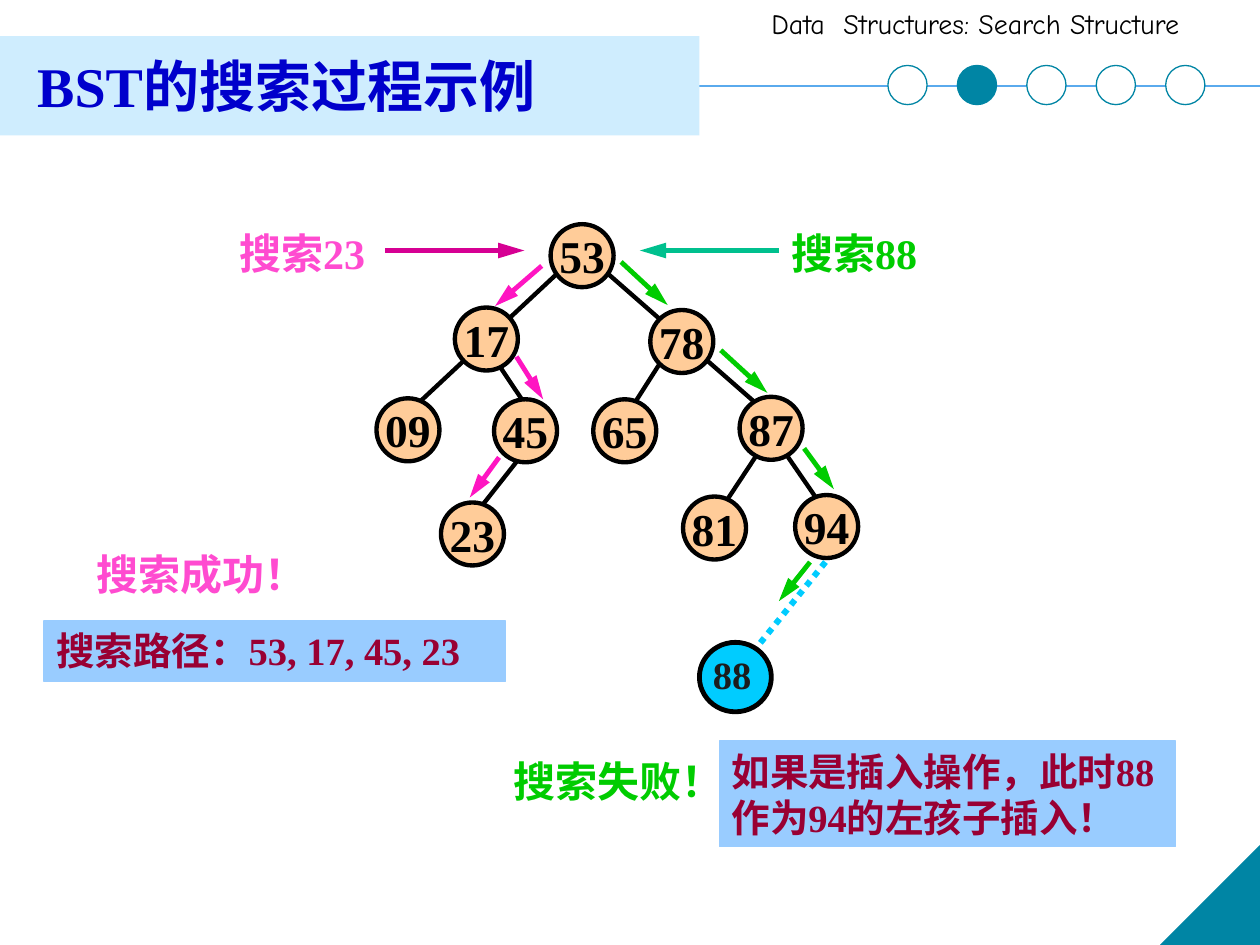
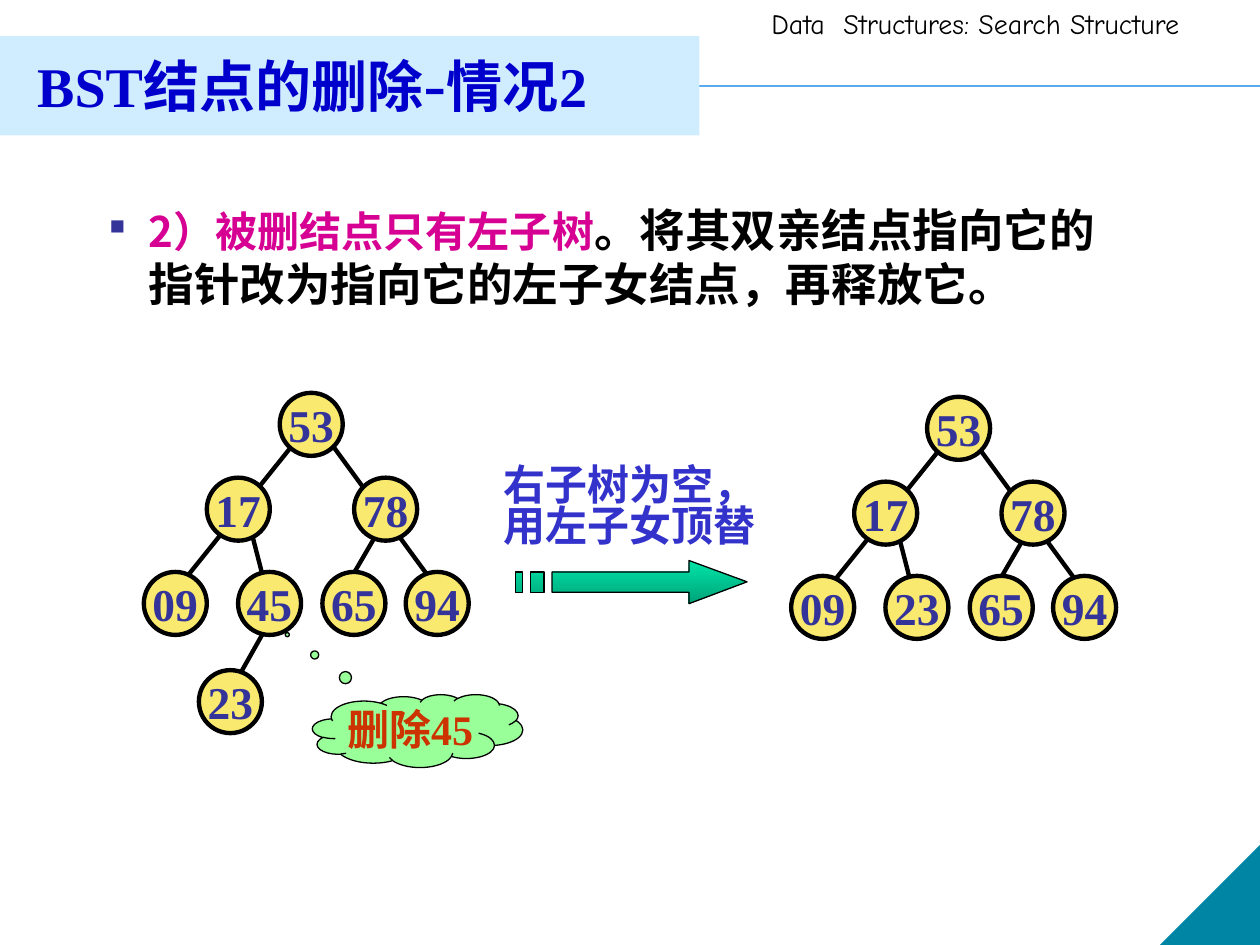
from dataclasses import dataclass
from typing import Any, Optional

from lxml.etree import SubElement
from pptx import Presentation
from pptx.dml.color import RGBColor
from pptx.enum.dml import MSO_LINE
from pptx.enum.shapes import MSO_CONNECTOR, MSO_SHAPE
from pptx.enum.text import MSO_ANCHOR, PP_ALIGN
from pptx.oxml.ns import qn
from pptx.util import Cm, Pt

# Shared colours, fonts and measures
TEAL, BLUE, BLACK, WHITE = "0085A4", "0000CC", "000000", "FFFFFF"
PINK, PINK_ARROW, GREEN = "FF4BD0", "FF15C2", "00CC00"
NOTE_FILL, NOTE_TEXT, INDIGO = "99CCFF", "990033", "333399"
SERIF, CHINESE = "Times New Roman", "Noto Sans CJK SC"
NODE_SIZE = 1.27


@dataclass
class Run:
    text: str
    size: float
    color: str
    font: str = SERIF
    bold: bool = True


@dataclass
class Box:
    left: float
    top: float
    width: float
    height: float

    def lengths(self) -> list[Cm]:
        return [Cm(v) for v in (self.left, self.top, self.width, self.height)]


@dataclass
class Line:
    x1: float
    y1: float
    x2: float
    y2: float

    def shifted(self, dx: float, dy: float) -> "Line":
        return Line(self.x1 + dx, self.y1 + dy, self.x2 + dx, self.y2 + dy)


@dataclass
class Node:
    label: str
    left: float
    top: float


@dataclass
class Label:
    text: str
    box: Box
    color: str


def rgb(color: str) -> RGBColor:
    return RGBColor.from_string(color)


def set_values(target: Any, values: dict[str, Any]) -> None:
    for name, value in values.items():
        setattr(target, name, value)


# Text
def write(shape: Any, paragraphs: list[list[Run]], align: Any = PP_ALIGN.LEFT,
          anchor: Any = MSO_ANCHOR.TOP, wrap: bool = True, spacing: float = 1.0) -> None:
    frame = shape.text_frame
    set_values(frame, {"word_wrap": wrap, "vertical_anchor": anchor,
                       "margin_left": Cm(0.25), "margin_right": Cm(0.25),
                       "margin_top": Cm(0.13), "margin_bottom": Cm(0.13)})
    for index, runs in enumerate(paragraphs):
        paragraph = frame.add_paragraph() if index else frame.paragraphs[0]
        set_values(paragraph, {"alignment": align, "line_spacing": spacing,
                               "space_before": Pt(0)})
        for item in runs:
            run = paragraph.add_run()
            run.text = item.text
            set_values(run.font, {"size": Pt(item.size), "bold": item.bold, "name": item.font})
            run.font.color.rgb = rgb(item.color)
            SubElement(run._r.get_or_add_rPr(), qn("a:ea"), typeface=CHINESE)


def add_text(slide: Any, box: Box, paragraphs: list[list[Run]], **options: Any) -> Any:
    shape = slide.shapes.add_textbox(*box.lengths())
    write(shape, paragraphs, **options)
    return shape


def add_bullet(paragraph: Any, color: str, size_percent: int) -> None:
    properties = paragraph._p.get_or_add_pPr()
    set_values(paragraph, {"level": 1})
    properties.set("marL", str(Cm(2.06)))
    properties.set("indent", str(Cm(-0.79)))
    SubElement(SubElement(properties, qn("a:buClr")), qn("a:srgbClr"), val=color)
    SubElement(properties, qn("a:buSzPct"), val=str(size_percent * 1000))
    SubElement(properties, qn("a:buChar"), char="■")


# Shapes and lines
def outline(shape: Any, color: Optional[str], width: float) -> None:
    shape.shadow.inherit = False
    if color is None:
        shape.line.fill.background()
    else:
        shape.line.color.rgb = rgb(color)
        shape.line.width = Pt(width)


def add_preset(slide: Any, preset: Any, box: Box, fill: str,
               line: Optional[str] = None, width: float = 0.75) -> Any:
    shape = slide.shapes.add_shape(preset, *box.lengths())
    shape.fill.solid()
    shape.fill.fore_color.rgb = rgb(fill)
    outline(shape, line, width)
    return shape


def add_line(slide: Any, line: Line, color: str, width: float,
             arrow: bool = False, dash: Any = None) -> None:
    connector = slide.shapes.add_connector(
        MSO_CONNECTOR.STRAIGHT, Cm(line.x1), Cm(line.y1), Cm(line.x2), Cm(line.y2))
    connector.line.color.rgb = rgb(color)
    connector.line.width = Pt(width)
    if dash is not None:
        connector.line.dash_style = dash
    if arrow:
        SubElement(connector.line._get_or_add_ln(), qn("a:tailEnd"), type="triangle", len="lg")
    SubElement(connector.element.spPr, qn("a:effectLst"))


def add_tree(slide: Any, nodes: list[Node], edges: list[Line], fill: str,
             text_color: str, dx: float = 0, dy: float = 0) -> None:
    for edge in edges:
        add_line(slide, edge.shifted(dx, dy), BLACK, 2.5)
    for node in nodes:
        box = Box(node.left + dx, node.top + dy, NODE_SIZE, NODE_SIZE)
        circle = add_preset(slide, MSO_SHAPE.OVAL, box, fill, BLACK, 2.5)
        write(circle, [[Run(node.label, 26, text_color)]], align=PP_ALIGN.CENTER,
              anchor=MSO_ANCHOR.MIDDLE, wrap=False)


# Frame shared by all slides
def start_slide(presentation: Any, title_runs: list[Run], title_width: float) -> Any:
    slide = presentation.slides.add_slide(presentation.slide_layouts[5])
    add_line(slide, Line(0, 1.74, 25.4, 1.74), "5AAAED", 1)
    corner = add_preset(slide, MSO_SHAPE.RIGHT_TRIANGLE, Box(23.4, 17.05, 2, 2), TEAL, TEAL)
    corner.rotation = 270
    add_text(slide, Box(15.3, 0, 10.2, 0.94),
             [[Run("Data  Structures: Search Structure", 16, BLACK, "Comic Neue", False)]])
    add_preset(slide, MSO_SHAPE.RECTANGLE, Box(0, 0.73, 14.1, 2), "CFEDFE")
    title = slide.shapes.title
    left, top, width, height = Box(0.5, 0.85, title_width, 1.68).lengths()
    set_values(title, {"left": left, "top": top, "width": width, "height": height})
    write(title, [title_runs], anchor=MSO_ANCHOR.BOTTOM, spacing=1.05)
    slide.shapes.element.append(title.element)  # in front of the band
    return slide


def build_search_slide(presentation: Any) -> None:
    slide = start_slide(presentation, [Run("BST的搜索过程示例", 32, BLUE)], 15.2)

    # Progress dots
    for index in range(5):
        add_preset(slide, MSO_SHAPE.OVAL, Box(17.9 + 1.4 * index, 1.32, 0.79, 0.79),
                   TEAL if index == 1 else WHITE, TEAL)

    # Search tree
    nodes = [Node("53", 11.1, 4.52), Node("17", 9.17, 6.2), Node("78", 13.11, 6.25),
             Node("09", 7.59, 8.03), Node("45", 9.96, 8.05), Node("65", 11.96, 8.05),
             Node("87", 14.91, 8), Node("23", 8.89, 10.13), Node("81", 13.77, 10.01),
             Node("94", 16.03, 9.98)]
    edges = [Line(15.29, 9.12, 14.3, 10.62), Line(15.82, 9.12, 16.64, 10.31),
             Line(10.72, 8.92, 9.3, 10.72), Line(9.91, 7.14, 11.1, 8.92),
             Line(11.43, 5.33, 8.43, 8.13), Line(13.44, 7.11, 12.42, 8.71),
             Line(12.04, 5.33, 15.24, 8.13)]
    add_tree(slide, nodes, edges, "FFCC99", BLACK)

    # Node to insert
    add_line(slide, Line(16.64, 11.33, 15.19, 13.13), "00CCFF", 3.5, dash=MSO_LINE.ROUND_DOT)
    add_preset(slide, MSO_SHAPE.OVAL, Box(14.1, 12.95, 1.45, 1.4), "00CCFF", BLACK, 2.75)
    add_text(slide, Box(14.12, 13, 2, 1.57), [[Run("88", 22, "1C1C1C")]])

    # Search paths
    paths = {
        PINK_ARROW: [Line(10.92, 5.36, 9.98, 6.17), Line(10.41, 7.19, 10.95, 8.05),
                     Line(10.06, 9.22, 9.47, 10.03)],
        GREEN: [Line(12.52, 5.28, 13.46, 6.15), Line(14.53, 7.06, 15.47, 7.92),
                Line(16.21, 9.04, 16.81, 9.86), Line(16.33, 11.33, 15.7, 12.12)],
    }
    for color, steps in paths.items():
        for step in steps:
            add_line(slide, step, color, 2.75, arrow=True)
    add_line(slide, Line(7.77, 5.05, 10.57, 5.05), "D60093", 3, arrow=True)
    add_line(slide, Line(15.7, 5.05, 12.9, 5.05), "00C08E", 3, arrow=True)

    # Labels and notes
    for label in [Label("搜索23", Box(4.57, 4.45, 4, 1.27), PINK),
                  Label("搜索88", Box(15.7, 4.45, 3.63, 1.27), GREEN),
                  Label("搜索成功！", Box(1.7, 10.92, 4.8, 1.27), PINK),
                  Label("搜索失败！", Box(10.11, 15.11, 6, 1.27), GREEN)]:
        add_text(slide, label.box, [[Run(label.text, 24, label.color)]])
    for note in [Label("搜索路径：53, 17, 45, 23", Box(0.89, 12.52, 9.3, 1.22), NOTE_TEXT),
                 Label("如果是插入操作，此时88作为94的左孩子插入！",
                       Box(14.5, 14.94, 9.2, 2.13), NOTE_TEXT)]:
        panel = add_preset(slide, MSO_SHAPE.RECTANGLE, note.box, NOTE_FILL, NOTE_FILL)
        write(panel, [[Run(note.text, 22, note.color)]])


def add_striped_arrow(slide: Any) -> None:
    top, bottom = 11.53, 11.94
    head = [(13.89, 11.3), (13.89, top), (11.13, top), (11.13, bottom), (13.89, bottom),
            (13.89, 12.17), (15.06, 11.73)]
    stripes = [[(left, top), (left, bottom), (right, bottom), (right, top)]
               for left, right in [(10.69, 10.97), (10.39, 10.54)]]
    start, *rest = [(Cm(x), Cm(y)) for x, y in head]
    builder = slide.shapes.build_freeform(*start)
    builder.add_line_segments(rest, close=True)
    for stripe in stripes:
        start, *rest = [(Cm(x), Cm(y)) for x, y in stripe]
        builder.move_to(*start)
        builder.add_line_segments(rest, close=True)
    arrow = builder.convert_to_shape()
    arrow.fill.gradient()
    arrow.fill.gradient_angle = 270
    for stop, color, position in zip(arrow.fill.gradient_stops, ("00E4A8", "00A378"), (0, 1)):
        stop.color.rgb = rgb(color)
        stop.position = position
    outline(arrow, BLACK, 0.75)


def build_deletion_slide(presentation: Any) -> None:
    slide = start_slide(presentation, [Run("BST结点", 32, BLUE),
                                       Run("的删除-情况", 32, BLUE, "Cabin"),
                                       Run("2", 32, BLUE)], 13.4)

    # Rule
    rule = add_text(slide, Box(0.69, 3.94, 21.64, 11.94), [[
        Run("2）被删结点只有左子树", 24, "D60093", CHINESE),
        Run("。将其双亲结点指向它的指针改为指向它的左子女结点，再释放它。", 26, BLACK)]],
        align=PP_ALIGN.JUSTIFY)
    add_bullet(rule.text_frame.paragraphs[0], INDIGO, 50)

    # Replacement arrow
    add_striped_arrow(slide)
    add_text(slide, Box(9.91, 9.32, 6.17, 1.88),
             [[Run(text, 24, "3333CC")] for text in ("右子树为空，", "用左子女顶替")],
             spacing=0.8)

    # Trees before and after: 23 takes the place of 45
    kept = [Node("53", 5.64, 7.92), Node("78", 7.14, 9.63), Node("65", 6.5, 11.53),
            Node("17", 4.17, 9.63), Node("94", 8.18, 11.53), Node("09", 2.9, 11.53)]
    edges = [Line(5, 10.46, 5.44, 12.17), Line(6.07, 8.76, 3.33, 12.17),
             Line(7.77, 10.46, 6.91, 11.94), Line(6.71, 8.99, 9.04, 12.17)]
    before = kept + [Node("23", 4.01, 13.51), Node("45", 4.8, 11.53)]
    after = kept + [Node("23", 4.8, 11.53)]
    add_tree(slide, before, [Line(5.44, 12.52, 4.42, 14.33)] + edges, "F9E96F", INDIGO)
    add_tree(slide, after, edges, "F9E96F", INDIGO, dx=13.05, dy=0.08)

    # Deletion callout
    cloud = add_preset(slide, MSO_SHAPE.CLOUD_CALLOUT, Box(6.3, 14, 4.24, 1.47),
                       "99FF99", BLACK)
    cloud.adjustments[0], cloud.adjustments[1] = -0.62, -1.32
    write(cloud, [[Run("删除45", 24, "CC3300")]], align=PP_ALIGN.CENTER,
          anchor=MSO_ANCHOR.MIDDLE, wrap=False)


def main() -> None:
    presentation = Presentation()
    set_values(presentation, {"slide_width": Cm(25.4), "slide_height": Cm(19.05)})
    build_search_slide(presentation)
    build_deletion_slide(presentation)
    presentation.save("out.pptx")


if __name__ == "__main__":
    main()
